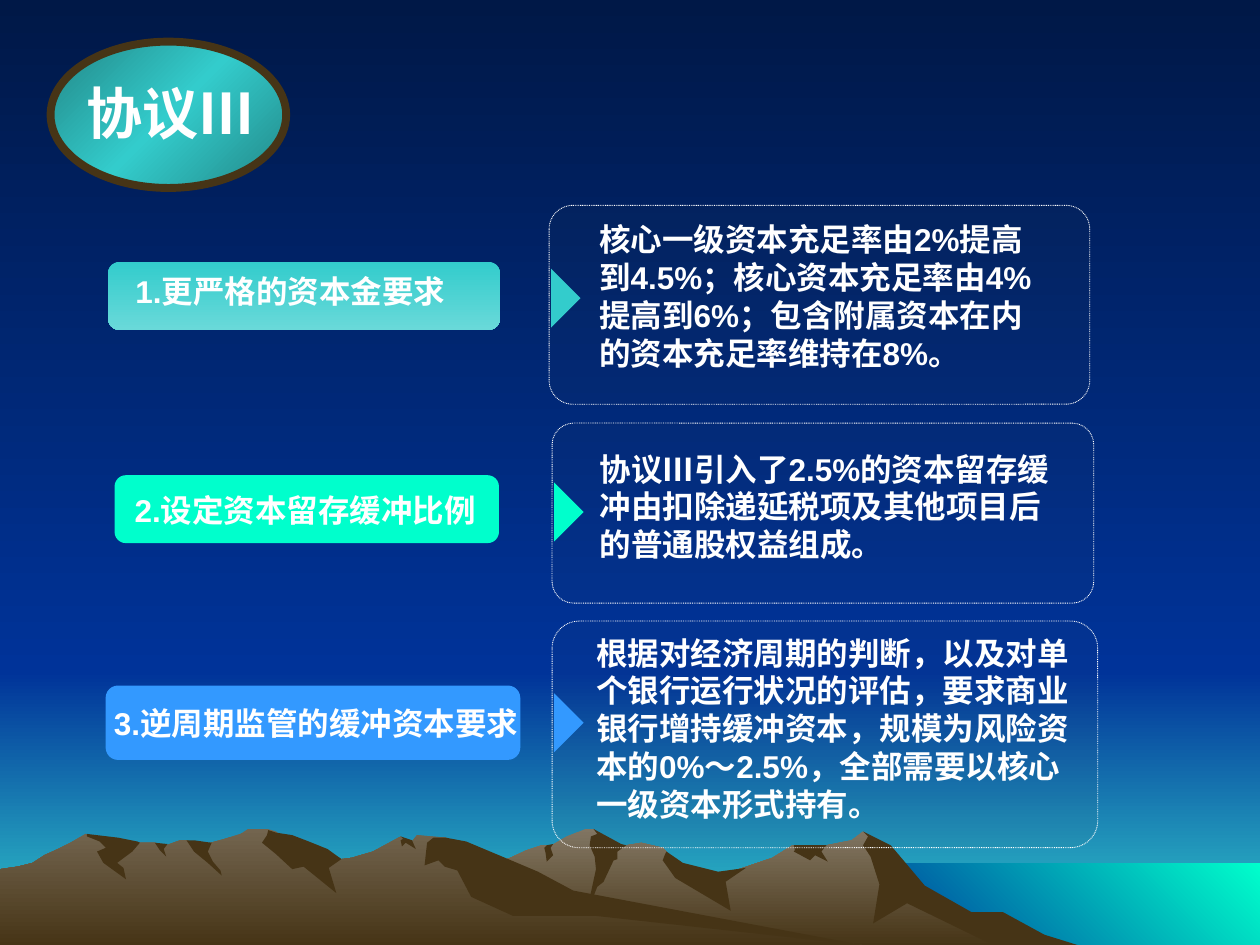
import copy

import pptx
import pptx.dml.color
import pptx.enum.dml
import pptx.enum.shapes
import pptx.enum.text
import pptx.oxml
import pptx.util
from lxml import etree

Cm = pptx.util.Cm
RGBColor = pptx.dml.color.RGBColor
SHAPE = pptx.enum.shapes.MSO_SHAPE
ALIGN = pptx.enum.text.PP_ALIGN

NIGHT = RGBColor(0x00, 0x18, 0x47)
BLUE = RGBColor(0x00, 0x33, 0x99)
TEAL = RGBColor(0x33, 0xCC, 0xCC)
DARK_TEAL = RGBColor(0x22, 0x87, 0x87)
PALE_TEAL = RGBColor(0x69, 0xD9, 0xD9)
MINT = RGBColor(0x00, 0xFF, 0xCC)
AZURE = RGBColor(0x33, 0x99, 0xFF)
EARTH = RGBColor(0x46, 0x34, 0x16)
FAR_ROCK = RGBColor(0x84, 0x78, 0x64)
NEAR_ROCK = RGBColor(0x73, 0x65, 0x4F)
GRAY = RGBColor(0x4D, 0x4D, 0x4D)
WHITE = RGBColor(0xFF, 0xFF, 0xFF)

DOWN = 270
RISING = 45
FALLING = 315
GRID = Cm(2.54) / 100

FAR_RIDGE = [
    (802, 82), (778, 69), (764, 65), (723, 40), (702, 13), (685, 2), (676, 9), (656, 13),
    (629, 13), (613, 23), (566, 39), (536, 32), (529, 18), (526, 15), (509, 11), (497, 13),
    (486, 15), (474, 3), (471, 0), (465, 0), (450, 6), (438, 13), (430, 13), (418, 17),
    (405, 23), (394, 27), (355, 40), (327, 51), (277, 81), (258, 93), (821, 93)]
FAR_SHADOWS = [
    [(796, 66), (771, 66), (734, 45), (707, 13), (685, 2), (689, 6), (685, 13), (691, 22),
     (698, 44), (693, 75), (720, 59), (792, 94), (858, 93), (829, 84)],
    [(471, 0), (474, 4), (469, 6), (468, 13), (472, 22), (473, 32), (465, 69), (474, 46),
     (479, 42), (487, 25), (490, 24), (490, 18), (497, 13), (493, 12)],
    [(529, 18), (528, 20), (526, 25), (536, 39), (580, 65), (576, 42), (592, 31), (570, 34),
     (542, 27)],
    [(650, 13), (630, 13), (631, 17), (630, 18), (643, 25), (647, 21), (657, 26), (652, 18),
     (656, 13)],
    [(433, 19), (432, 15), (434, 13), (439, 12), (437, 15), (439, 21), (434, 26)]]
NEAR_RIDGE = [
    (690, 93), (667, 90), (432, 54), (354, 7), (331, 5), (327, 10), (323, 10), (318, 6),
    (296, 18), (279, 23), (271, 24), (260, 18), (236, 23), (223, 5), (219, 2), (212, 0),
    (197, 0), (191, 4), (178, 8), (160, 13), (148, 9), (143, 9), (132, 13), (123, 11),
    (111, 11), (94, 13), (68, 4), (56, 11), (46, 16), (35, 21), (26, 27), (14, 30),
    (0, 32), (0, 93)]
NEAR_SHADOWS = [
    [(212, 5), (208, 11), (219, 20), (232, 32), (241, 30), (267, 51), (261, 31), (271, 24),
     (260, 16), (245, 10), (232, 5), (219, 3), (213, 1)],
    [(370, 10), (354, 7), (344, 7), (339, 11), (337, 29), (348, 25), (353, 30), (363, 33),
     (374, 54), (407, 69), (472, 69), (690, 93), (683, 92), (455, 49), (427, 34), (401, 23)],
    [(318, 9), (320, 8), (318, 6), (327, 9), (330, 16), (322, 11), (319, 14)],
    [(154, 9), (168, 11), (165, 18), (169, 26), (175, 33), (176, 37), (165, 27), (154, 18),
     (148, 9)],
    [(133, 12), (130, 16), (132, 22), (127, 17), (123, 11)],
    [(109, 10), (111, 11), (105, 18), (93, 27), (98, 31), (100, 40), (82, 27), (77, 18),
     (84, 15), (79, 10), (69, 6), (69, 4), (94, 7)]]

ROWS = [
    ("1.更严格的资本金要求 ", (2.18, 5.28, 7.9, 1.37), (0, 0.08, 7.49), [TEAL, PALE_TEAL],
     "核心一级资本充足率由2%提高到4.5%；核心资本充足率由4%提高到6%；包含附属资本在内的资本充足率维持在8%。",
     (11.07, 4.14, 10.9, 4.01), (0.76, 0.18, 9.27, 4.06), 1.45),
    ("2.设定资本留存缓冲比例 ", (2.31, 9.58, 7.75, 1.37), (0.03, 0.2, 7.77), [MINT],
     "协议Ⅲ引入了2.5%的资本留存缓冲由扣除递延税项及其他项目后的普通股权益组成。",
     (11.13, 8.53, 10.92, 3.63), (0.71, 0.41, 9.83, 2.54), 1.37),
    ("3.逆周期监管的缓冲资本要求 ", (2.13, 13.82, 8.36, 1.5), (-0.18, 0.25, 8.99), [AZURE],
     "根据对经济周期的判断，以及对单个银行运行状况的评估，要求商业银行增持缓冲资本，规模为风险资本的0%～2.5%，全部需要以核心一级资本形式持有。",
     (11.13, 12.52, 11, 4.57), (0.64, 0.13, 10.13, 4.06), 1.63),
]


def paint(fill, colors, angle=DOWN):
    if len(colors) == 1:
        fill.solid()
        fill.fore_color.rgb = colors[0]
        return
    fill.gradient()
    fill.gradient_angle = angle
    stop_list = fill.gradient_stops[0]._gs.getparent()
    while len(stop_list) < len(colors):
        stop_list.append(copy.deepcopy(stop_list[-1]))
    for index, (stop, color) in enumerate(zip(fill.gradient_stops, colors)):
        stop.color.rgb = color
        stop.position = index / (len(colors) - 1)


def finish(shape, colors, angle=DOWN):
    shape.shadow.inherit = False
    paint(shape.fill, colors, angle)
    shape.line.fill.background()
    return shape


def add_block(slide, kind, box, colors, angle=DOWN):
    shape = slide.shapes.add_shape(kind, *map(Cm, box))
    return finish(shape, colors, angle)


def add_text(slide, box, text, size, alignment):
    text_box = slide.shapes.add_textbox(*map(Cm, box))
    frame = text_box.text_frame
    frame.word_wrap = True
    frame.auto_size = pptx.enum.text.MSO_AUTO_SIZE.SHAPE_TO_FIT_TEXT
    paragraph = frame.paragraphs[0]
    paragraph.text = text
    paragraph.alignment = alignment
    paragraph.font.name = "Arial"
    paragraph.font.size = pptx.util.Pt(size)
    paragraph.font.bold = True
    paragraph.font.color.rgb = WHITE


def add_mountains(slide, left, top):
    layers = [([FAR_RIDGE], [FAR_ROCK, EARTH]), (FAR_SHADOWS, [EARTH]),
              ([NEAR_RIDGE], [NEAR_ROCK, EARTH]), (NEAR_SHADOWS, [EARTH])]
    outlines = []
    for polygons, colors in layers:
        for points in polygons:
            builder = slide.shapes.build_freeform(*points[0], scale=GRID)
            builder.add_line_segments(points[1:], close=True)
            outlines.append(finish(builder.convert_to_shape(Cm(left), Cm(top)), colors))
    slide.shapes.add_group_shape(outlines)


def add_landscape(slide, width, height):
    horizon = 13.54
    shore_left, shore_top = 17.35, 17.4
    paint(slide.background.fill, [NIGHT, BLUE])
    add_block(slide, SHAPE.RECTANGLE, (0, horizon, width, height - horizon), [BLUE, TEAL])
    add_block(slide, SHAPE.RECTANGLE, (0, 0, width, horizon), [NIGHT, BLUE])
    add_block(slide, SHAPE.RECTANGLE,
              (shore_left, shore_top, width - shore_left, height - shore_top),
              [BLUE, MINT], RISING)
    add_mountains(slide, 0, 16.71)


def add_title(slide, left, top, width, height):
    badge = add_block(slide, SHAPE.OVAL, (left, top, width, height),
                      [DARK_TEAL, TEAL, DARK_TEAL], FALLING)
    badge.line.color.rgb = EARTH
    badge.line.width = pptx.util.Pt(4.5)
    add_text(slide, (left - 0.23, top + 0.61, 5.31, 1.63), "协议Ⅲ", 32, ALIGN.CENTER)


def add_panel(slide, box, text, text_box, arrow_top, color):
    left, top = box[:2]
    panel = add_block(slide, SHAPE.ROUNDED_RECTANGLE, box, [GRAY])
    panel.adjustments[0] = 0.12
    color_element = panel.fill._xPr.find(".//" + pptx.oxml.ns.qn("a:srgbClr"))
    etree.SubElement(color_element, pptx.oxml.ns.qn("a:alpha"), val="5000")
    panel.line.color.rgb = WHITE
    panel.line.width = pptx.util.Pt(0.5)
    panel.line.dash_style = pptx.enum.dml.MSO_LINE.ROUND_DOT
    x, y, width, height = text_box
    add_text(slide, (left + x, top + y, width, height), text, 18, ALIGN.LEFT)
    arrow = add_block(slide, SHAPE.RIGHT_TRIANGLE,
                      (left - 0.38, top + arrow_top, 0.84, 0.84), [color])
    arrow.rotation = 225


def add_label(slide, box, text, text_box, colors):
    left, top = box[:2]
    add_block(slide, SHAPE.ROUNDED_RECTANGLE, box, colors)
    x, y, width = text_box
    add_text(slide, (left + x, top + y, width, 1.02), text, 18, ALIGN.CENTER)


def main():
    presentation = pptx.Presentation()
    width, height = 25.4, 19.05
    presentation.slide_width = Cm(width)
    presentation.slide_height = Cm(height)
    slide = presentation.slides.add_slide(presentation.slide_layouts[6])
    add_landscape(slide, width, height)
    add_title(slide, 1.02, 0.84, 4.75, 2.95)
    for label, label_box, label_text_box, colors, text, panel_box, text_box, arrow_top in ROWS:
        add_panel(slide, panel_box, text, text_box, arrow_top, colors[0])
        add_label(slide, label_box, label, label_text_box, colors)
    presentation.save("out.pptx")


if __name__ == "__main__":
    main()
